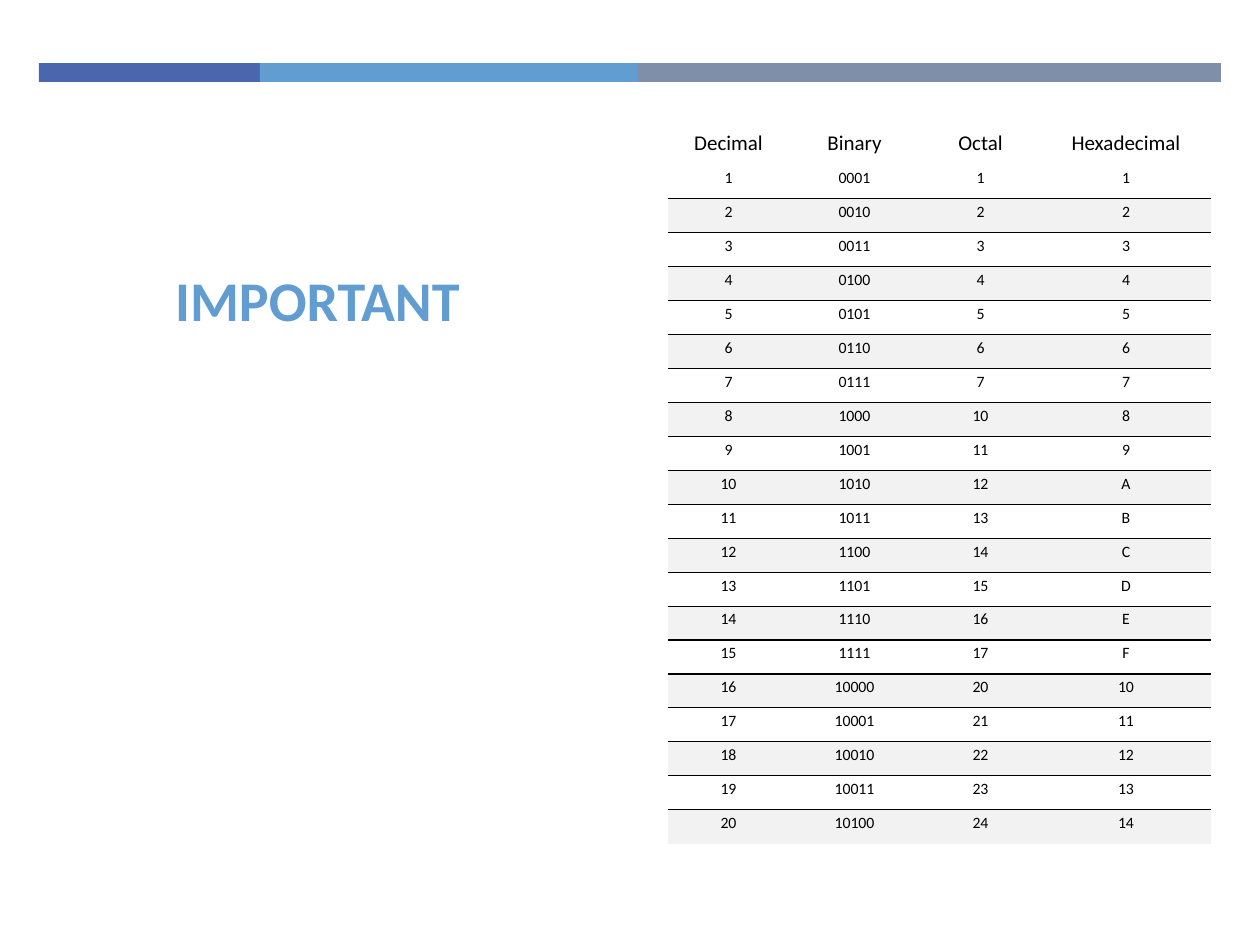
import pptx
import pptx.dml.color
import pptx.enum.shapes
import pptx.enum.text
import pptx.oxml
import pptx.oxml.ns
import pptx.util

PX = 914400 / 126
FONT = "Calibri"
NO_STYLE_NO_GRID = "{2D5ABB26-0587-4C30-8999-92F81FD0307C}"
CENTER = pptx.enum.text.PP_ALIGN.CENTER
ANCHOR = pptx.enum.text.MSO_ANCHOR


def px(length):
    return pptx.util.Emu(round(length * PX))


def color(hex_value):
    return pptx.dml.color.RGBColor.from_string(hex_value)


def format_paragraph(paragraph, size, hex_value, bold=False):
    paragraph.alignment = CENTER
    values = {"name": FONT, "size": pptx.util.Pt(size), "bold": bold}
    for name, value in values.items():
        setattr(paragraph.font, name, value)
    paragraph.font.color.rgb = color(hex_value)


def add_color_band(slide, left, top, height):
    for width, fill in ((221, "4A66AC"), (378, "629DD1"), (583, "7F8FA9")):
        shape = slide.shapes.add_shape(
            pptx.enum.shapes.MSO_SHAPE.RECTANGLE,
            px(left), px(top), px(width), px(height))
        shape.shadow.inherit = False
        shape.fill.solid()
        shape.fill.fore_color.rgb = color(fill)
        shape.line.fill.background()
        left += width


def place_title(slide, left, top, width, height):
    title = slide.shapes.title
    box = {"left": left, "top": top, "width": width, "height": height}
    for name, value in box.items():
        setattr(title, name, px(value))
    frame = title.text_frame
    frame.text = "IMPORTANT"
    frame.word_wrap = True
    frame.vertical_anchor = ANCHOR.BOTTOM
    format_paragraph(frame.paragraphs[0], 32, "629DD1", bold=True)


def add_border(cell, side):
    # Borders come before the fill in the cell properties
    border = pptx.oxml.parse_xml(
        f'<a:{side} {pptx.oxml.ns.nsdecls("a")} w="9525"><a:solidFill>'
        f'<a:srgbClr val="000000"/></a:solidFill></a:{side}>')
    cell._tc.get_or_add_tcPr().insert(0, border)


def format_cell(cell, text, row):
    is_header, is_shaded = row == 0, row > 0 and row % 2 == 0
    values = {
        "text": text,
        "vertical_anchor": ANCHOR.BOTTOM if is_header else ANCHOR.MIDDLE,
        "margin_left": 0,
        "margin_top": px(1 if is_header else 2),
        "margin_right": px(5),
        "margin_bottom": px(9),
    }
    for name, value in values.items():
        setattr(cell, name, value)
    format_paragraph(cell.text_frame.paragraphs[0], 12 if is_header else 9, "000000")
    if is_shaded:
        cell.fill.solid()
        cell.fill.fore_color.rgb = color("F2F2F2")
    else:
        cell.fill.background()
    if not is_header:
        add_border(cell, "lnT" if is_shaded else "lnB")


def add_number_table(slide, left, top, width, height):
    rows = [("Decimal", "Binary", "Octal", "Hexadecimal")]
    rows += [(f"{n}", f"{n:04b}", f"{n:o}", f"{n:X}") for n in range(1, 21)]
    header_height, column_width = 39, 126

    table = slide.shapes.add_table(
        len(rows), len(rows[0]), px(left), px(top), px(width), px(height)).table
    table._tbl.tblPr.find(pptx.oxml.ns.qn("a:tableStyleId")).text = NO_STYLE_NO_GRID

    # Three equal columns; the last takes the remaining width
    for column in table.columns:
        column.width = px(column_width)
    table.columns[3].width = px(width - 3 * column_width)

    row_height = (height - header_height) / (len(rows) - 1)
    for row, texts in enumerate(rows):
        table.rows[row].height = px(row_height if row else header_height)
        for column, text in enumerate(texts):
            format_cell(table.cell(row, column), text, row)


def main():
    presentation = pptx.Presentation()
    presentation.slide_width = px(1260)
    presentation.slide_height = px(945)
    slide = presentation.slides.add_slide(presentation.slide_layouts[5])

    add_color_band(slide, 39, 63, 19)
    place_title(slide, 37, 179, 561, 160)
    add_number_table(slide, 668, 126, 543, 718)

    presentation.save("out.pptx")


if __name__ == "__main__":
    main()
